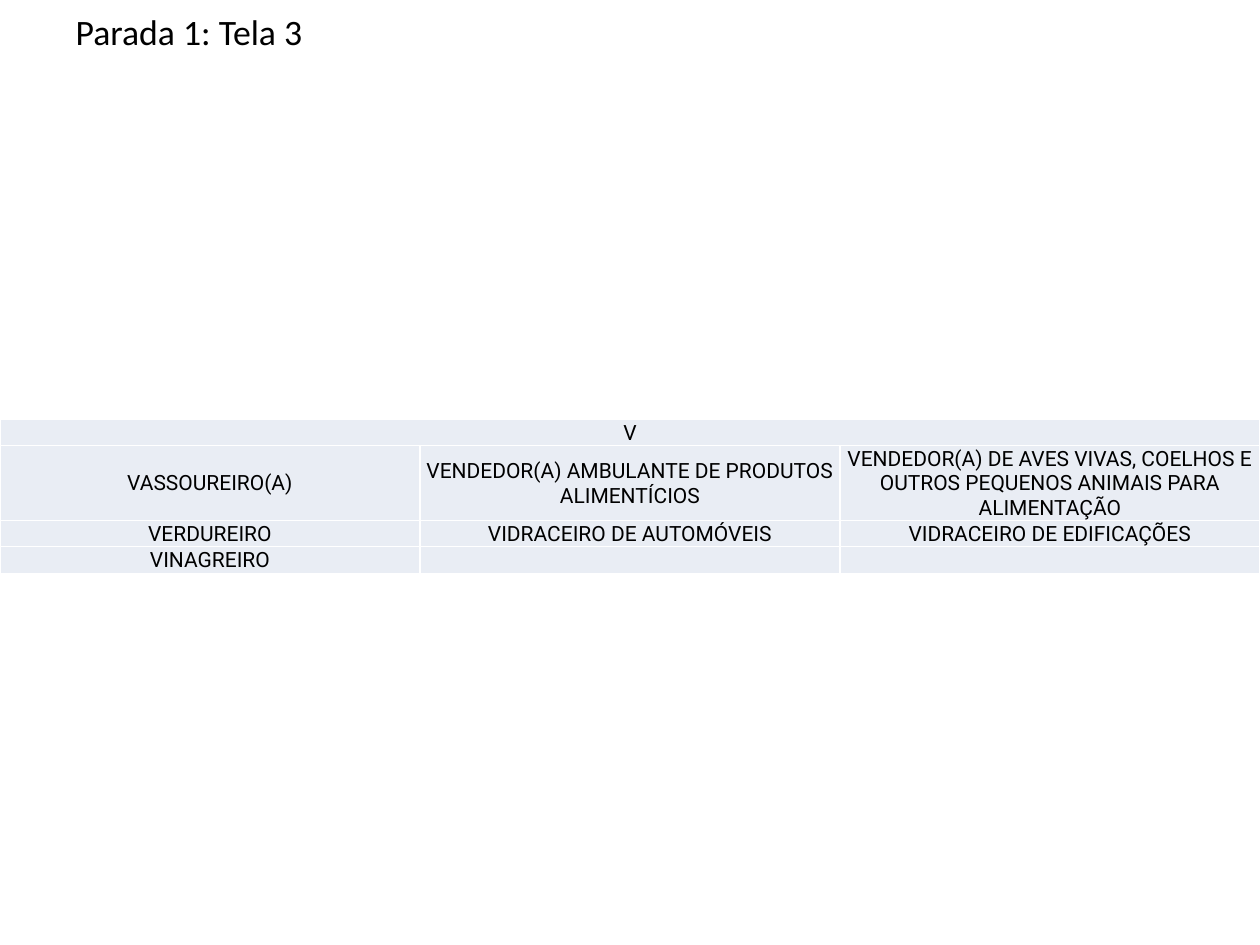
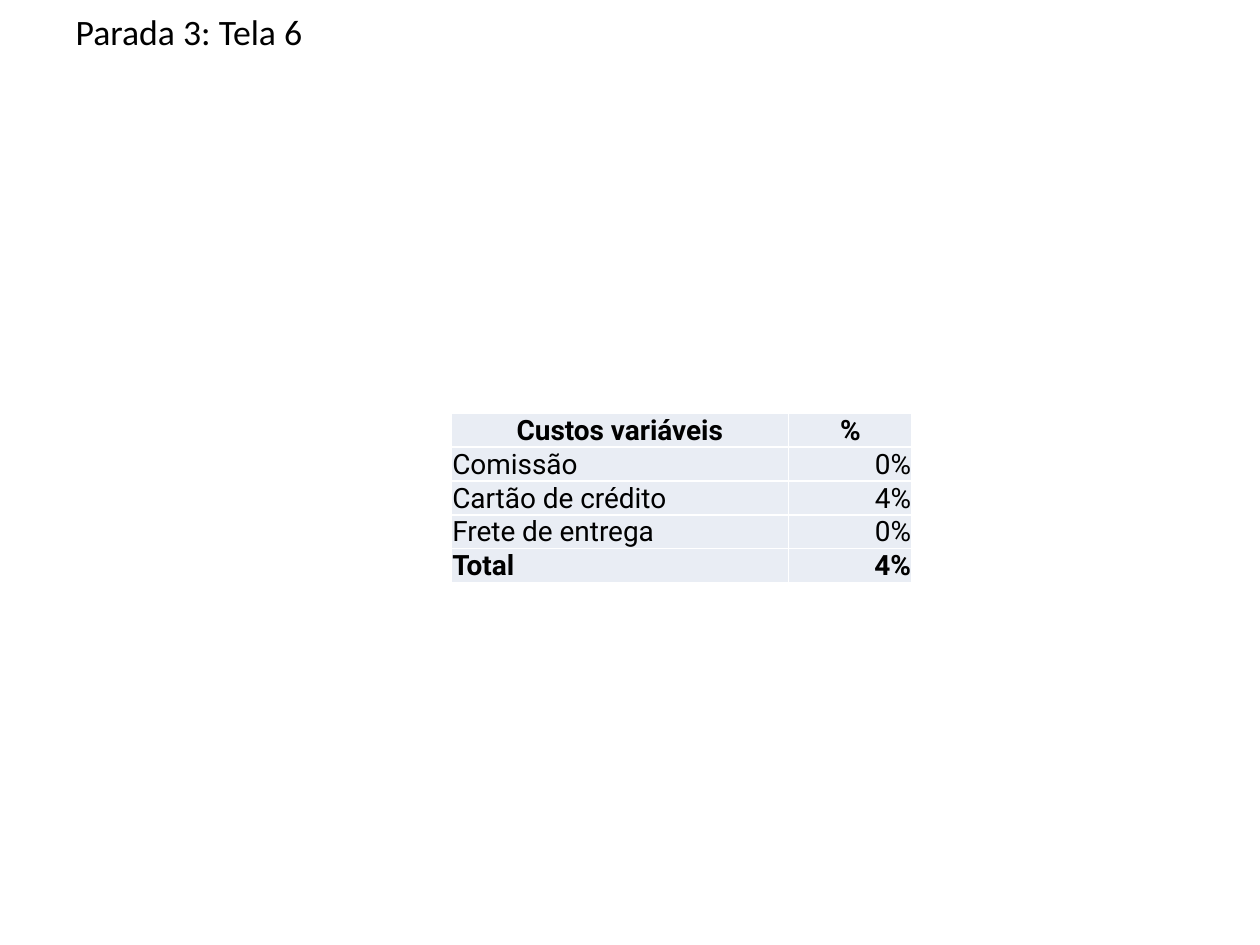
from lxml.etree import SubElement
from pptx import Presentation
from pptx.dml.color import RGBColor
from pptx.enum.text import MSO_ANCHOR as Anchor, MSO_AUTO_SIZE as AutoSize, PP_ALIGN as Align
from pptx.oxml.ns import qn
from pptx.util import Inches, Pt

BLACK = RGBColor(0, 0, 0)
WHITE = RGBColor(255, 255, 255)
CELL_FILL = RGBColor(0xE9, 0xED, 0xF4)
TITLE_FONT, TABLE_FONT = "Calibri", "Roboto"
SLIDE_WIDTH, SLIDE_HEIGHT = Inches(10), Inches(7.5)
TITLE_ONLY = 5
CELL_INSET = Inches(0.01)

OCCUPATIONS = [
    ["V", "", ""],
    ["VASSOUREIRO(A)", "VENDEDOR(A) AMBULANTE DE PRODUTOS ALIMENTÍCIOS",
     "VENDEDOR(A) DE AVES VIVAS, COELHOS E OUTROS PEQUENOS ANIMAIS PARA ALIMENTAÇÃO"],
    ["VERDUREIRO", "VIDRACEIRO DE AUTOMÓVEIS", "VIDRACEIRO DE EDIFICAÇÕES"],
    ["VINAGREIRO", "", ""],
]
VARIABLE_COSTS = [
    ["Custos variáveis", "%"],
    ["Comissão", "0%"],
    ["Cartão de crédito", "4%"],
    ["Frete de entrega", "0%"],
    ["Total", "4%"],
]


def add_run(paragraph, text, font_name, size, bold=False):
    run = paragraph.add_run()
    run.text = text
    run.font.name = font_name
    run.font.size = Pt(size)
    run.font.bold = bold
    run.font.color.rgb = BLACK


def add_titled_slide(presentation, text):
    slide = presentation.slides.add_slide(presentation.slide_layouts[TITLE_ONLY])
    title = slide.shapes.title
    title.left, title.top = int(SLIDE_WIDTH * 0.05), Inches(0.01)
    title.width, title.height = int(SLIDE_WIDTH * 0.9), Inches(0.38)
    frame = title.text_frame
    frame.auto_size = AutoSize.NONE
    frame.word_wrap = True
    frame.vertical_anchor = Anchor.TOP
    frame.margin_top = Inches(0.07)
    paragraph = frame.paragraphs[0]
    paragraph.alignment = Align.LEFT
    add_run(paragraph, text, TITLE_FONT, 20.4)
    return slide


def add_borders(cell):
    properties = cell._tc.get_or_add_tcPr()
    for side in ("a:lnL", "a:lnR", "a:lnT", "a:lnB"):
        line = SubElement(properties, qn(side), w=str(Pt(1)))
        fill = SubElement(line, qn("a:solidFill"))
        SubElement(fill, qn("a:srgbClr"), val=str(WHITE))


def fill_cell(cell, text, size, anchor, alignment, bold):
    add_borders(cell)
    cell.fill.solid()
    cell.fill.fore_color.rgb = CELL_FILL
    cell.margin_left = cell.margin_right = cell.margin_top = CELL_INSET
    cell.margin_bottom = 0
    cell.vertical_anchor = anchor
    paragraph = cell.text_frame.paragraphs[0]
    paragraph.alignment = alignment
    if text:
        add_run(paragraph, text, TABLE_FONT, size, bold)
    else:
        # An empty cell takes its line height from the end-of-paragraph size.
        SubElement(paragraph._p, qn("a:endParaRPr"), sz=str(size * 100))


def add_grid(slide, rows, left, top, widths, heights, size, anchor, cell_style):
    """Add a table; cell_style(row, column) gives each cell's alignment and boldness."""
    table = slide.shapes.add_table(len(rows), len(widths), left, top,
                                   sum(widths), sum(heights)).table
    table.first_row = table.horz_banding = False
    for column, width in zip(table.columns, widths):
        column.width = width
    for row, height in zip(table.rows, heights):
        row.height = height
    for row_index, texts in enumerate(rows):
        for column_index, text in enumerate(texts):
            alignment, bold = cell_style(row_index, column_index)
            fill_cell(table.cell(row_index, column_index), text, size, anchor, alignment, bold)
    return table


def occupation_style(row, column):
    return Align.CENTER, False


def cost_style(row, column):
    bold = row in (0, len(VARIABLE_COSTS) - 1)
    if row == 0:
        return Align.CENTER, bold
    return (Align.LEFT, Align.RIGHT)[column], bold


def main():
    presentation = Presentation()
    presentation.slide_width, presentation.slide_height = SLIDE_WIDTH, SLIDE_HEIGHT

    slide = add_titled_slide(presentation, "Parada 1: Tela 3")
    line_height = Inches(0.17)
    occupations = add_grid(slide, OCCUPATIONS, 0, Inches(3.33), [SLIDE_WIDTH // 3] * 3,
                           [line_height * lines for lines in (1, 2, 1, 1)],
                           12, Anchor.MIDDLE, occupation_style)
    occupations.cell(0, 0).merge(occupations.cell(0, 2))

    slide = add_titled_slide(presentation, "Parada 3: Tela 6")
    add_grid(slide, VARIABLE_COSTS, Inches(3.58), Inches(3.28), [Inches(2.68), Inches(0.98)],
             [Inches(0.21)] * len(VARIABLE_COSTS), 16, Anchor.BOTTOM, cost_style)

    presentation.save("out.pptx")


if __name__ == "__main__":
    main()
